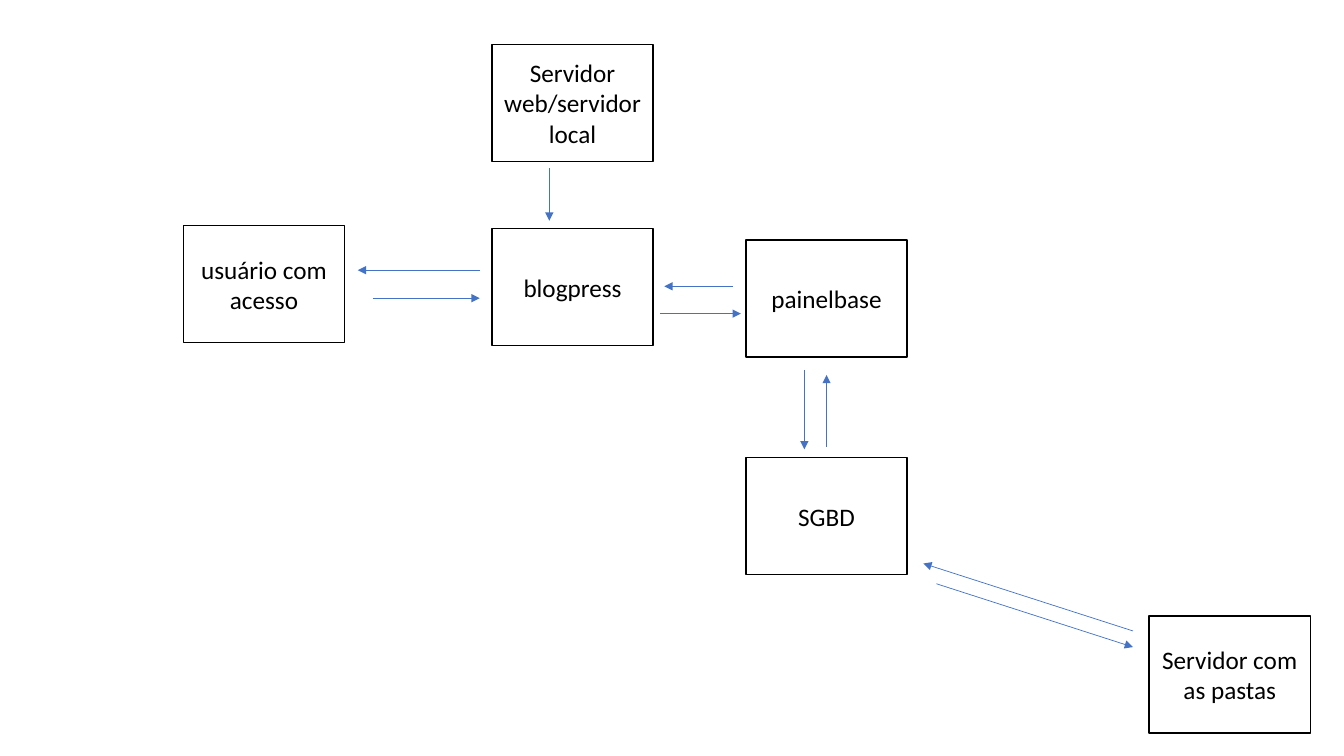
import pptx
import pptx.util
import pptx.dml.color
import pptx.enum.shapes
import pptx.enum.text
import pptx.oxml.ns
import lxml.etree
from dataclasses import dataclass

Pt = pptx.util.Pt
RGB = pptx.dml.color.RGBColor.from_string
qn = pptx.oxml.ns.qn


@dataclass(frozen=True)
class Theme:
    font: str = "Calibri"
    size: float = 18
    text: str = "000000"
    box_fill: str = "FFFFFF"
    box_line: str = "000000"
    box_line_width: float = 1
    arrow: str = "4472C4"
    arrow_width: float = 0.5


theme = Theme()


def write(tf, text, size=theme.size, color=theme.text, align=pptx.enum.text.PP_ALIGN.CENTER):
    tf.word_wrap = True
    tf.vertical_anchor = pptx.enum.text.MSO_ANCHOR.MIDDLE
    p = tf.paragraphs[0]
    p.alignment = align
    r = p.add_run()
    r.text = text
    r.font.name = theme.font
    r.font.size = Pt(size)
    r.font.color.rgb = RGB(color)


prs = pptx.Presentation()
prs.slide_width, prs.slide_height = Pt(960), Pt(540)
s = prs.slides.add_slide(prs.slide_layouts[6])

# Boxes: text, left, top
BOX_W, BOX_H = 115.2, 83.5
WEB_X, DATA_X = 351.4, 532.8
boxes = [
    ("Servidor com as pastas", 820.8, 440),
    ("SGBD", DATA_X, 327),
    ("painelbase", DATA_X, 171.4),
    ("blogpress", WEB_X, 163.4),
    ("Servidor web/servidor local", WEB_X, 31.7),
    ("usuário com acesso", 131, 161.3),
]
for text, x, y in boxes:
    sp = s.shapes.add_shape(pptx.enum.shapes.MSO_SHAPE.RECTANGLE,
                            Pt(x), Pt(y), Pt(BOX_W), Pt(BOX_H))
    sp.shadow.inherit = False
    sp.fill.solid()
    sp.fill.fore_color.rgb = RGB(theme.box_fill)
    sp.line.color.rgb = RGB(theme.box_line)
    sp.line.width = Pt(theme.box_line_width)
    write(sp.text_frame, text)

# Arrows: start x, start y, end x, end y
arrows = [
    # Folder server and database
    (809.3, 450.7, 659.5, 402.5),
    (668.9, 417, 809.3, 462.2),
    # Database and its admin panel
    (590.4, 319, 590.4, 267.8),
    (574.6, 264.2, 574.6, 321),
    # Admin panel and site
    (523.4, 204.5, 474.5, 204.5),
    (471.6, 224, 529.2, 224),
    # Web server to site
    (392.4, 120.2, 392.4, 157.7),
    # User and site
    (266.4, 213, 342.7, 213),
    (342.7, 193, 255.6, 193),
]
for ends in arrows:
    c = s.shapes.add_connector(pptx.enum.shapes.MSO_CONNECTOR.STRAIGHT,
                               *[Pt(v) for v in ends])
    c.line.color.rgb = RGB(theme.arrow)
    c.line.width = Pt(theme.arrow_width)
    ln = c.line._get_or_add_ln()
    lxml.etree.SubElement(ln, qn("a:tailEnd"), type="triangle")
    lxml.etree.SubElement(c._element.spPr, qn("a:effectLst"))

prs.save("out.pptx")
